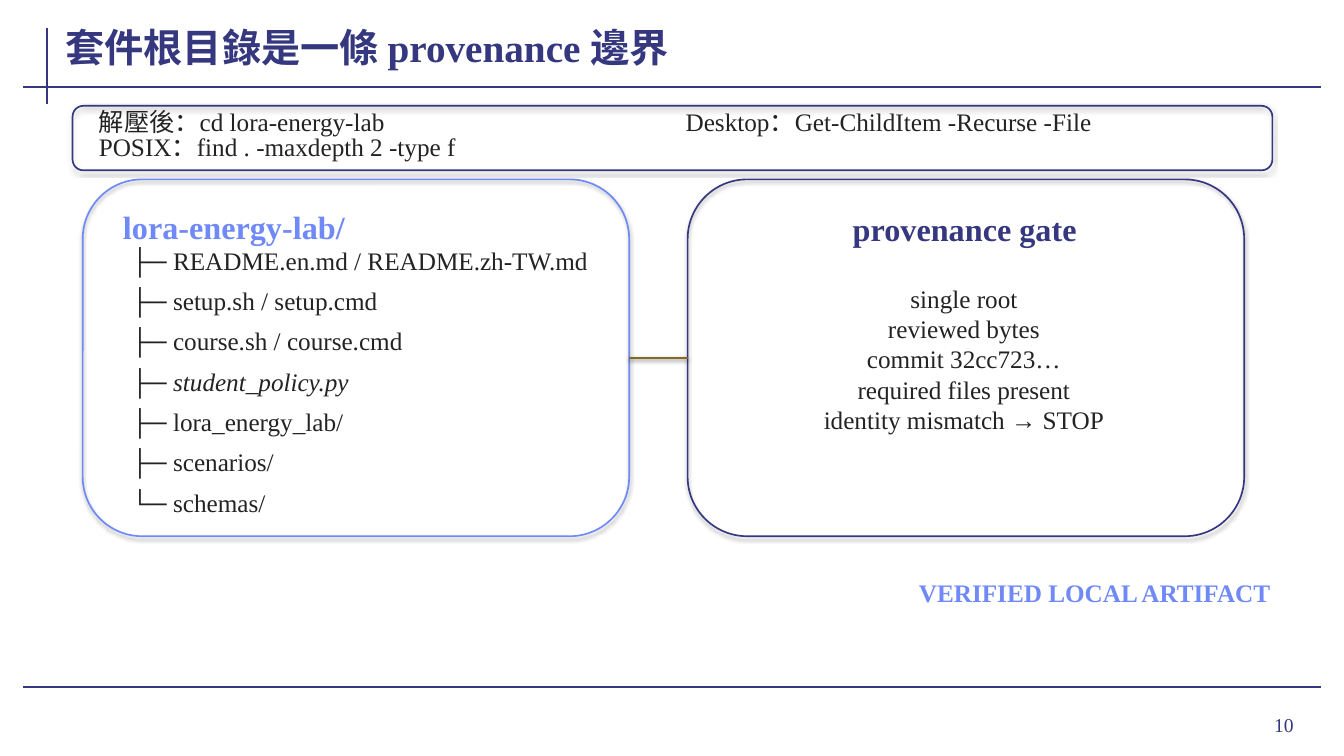
from lxml import etree
from pptx import Presentation, util as u
from pptx.dml.color import RGBColor
from pptx.enum import shapes, text
from pptx.oxml.ns import qn

deck = Presentation()
cell = u.Inches(0.1)
deck.slide_width, deck.slide_height = u.Inches(13.33), u.Inches(7.5)
page = deck.slides.add_slide(deck.slide_layouts[6])
navy, sky, ink, bronze = "35377F", "6F89F7", "232323", "846826"
left, center, right = text.PP_ALIGN.LEFT, text.PP_ALIGN.CENTER, text.PP_ALIGN.RIGHT
middle, top = text.MSO_ANCHOR.MIDDLE, text.MSO_ANCHOR.TOP


def outline(item, color, width, shade=0, distance=1.8):
    item.line.color.rgb = RGBColor.from_string(color)
    item.line.width = u.Pt(width)
    effects = etree.SubElement(item._element.spPr, qn("a:effectLst"))
    if shade:
        shadow = etree.SubElement(effects, qn("a:outerShdw"), blurRad=str(u.Pt(3.1)),
                                  dist=str(u.Pt(distance)), dir="5400000", rotWithShape="0")
        black = etree.SubElement(shadow, qn("a:srgbClr"), val="000000")
        etree.SubElement(black, qn("a:alpha"), val=str(shade * 1000))


def write(area, lines, size=18, color=ink, bold=False, align=left, anchor=middle,
          inset=(0.8, 0.6), wrap=True, italic=""):
    box = page.shapes.add_textbox(*[int(n * cell) for n in area])
    frame = box.text_frame
    frame.word_wrap, frame.vertical_anchor = wrap, anchor
    frame.margin_left = frame.margin_right = int(inset[0] * cell)
    frame.margin_top = frame.margin_bottom = int(inset[1] * cell)
    for index, line in enumerate(lines):
        para = frame.paragraphs[0] if index == 0 else frame.add_paragraph()
        para.alignment = align
        para.font.name, para.font.size, para.font.bold = "Times New Roman", u.Pt(size), bold
        para.font.color.rgb = RGBColor.from_string(color)
        para.add_run().text = line
        if italic:
            span = para.add_run()
            span.text, span.font.italic = italic, True


for x1, y1, x2, y2 in [(4.7, 2.8, 4.7, 10.3), (2.3, 8.6, 131, 8.6), (2.3, 68.2, 131, 68.2)]:
    rule = page.shapes.add_connector(shapes.MSO_CONNECTOR.STRAIGHT,
                                     *[int(n * cell) for n in (x1, y1, x2, y2)])
    outline(rule, navy, 1.5)

write((119.6, 69.3, 9.7, 5.2), ["10"], 14, navy, align=right, inset=(1, 0.5))
write((6.2, 1.5, 124.9, 6.2), ["套件根目錄是一條 provenance 邊界"], 28, navy, True, inset=(0.3, 0.1))

panels = []
for area, color in [((7.2, 10.5, 119, 6.4), navy), ((8.2, 17.8, 54.2, 35.4), sky),
                    ((68.2, 17.8, 55.2, 35.4), navy)]:
    panel = page.shapes.add_shape(shapes.MSO_SHAPE.ROUNDED_RECTANGLE,
                                  *[int(n * cell) for n in area])
    panel.fill.background()
    outline(panel, color, 1.2, 35)
    panels.append(panel)
commands, tree, gate = panels

for column, row, command in [(9, 10.8, "解壓後：cd lora-energy-lab"),
                             (9, 13.3, "POSIX：find . -maxdepth 2 -type f"),
                             (67.2, 10.8, "Desktop：Get-ChildItem -Recurse -File")]:
    write((column, row, 55.8, 2.5), [command], wrap=False)

write((11.4, 20, 48, 4.4), ["lora-energy-lab/"], 23, sky, True, anchor=top)
entries = [("├─ README.en.md / README.zh-TW.md", ""), ("├─ setup.sh / setup.cmd", ""),
           ("├─ course.sh / course.cmd", ""), ("├─ ", "student_policy.py"),
           ("├─ lora_energy_lab/", ""), ("├─ scenarios/", ""), ("└─ schemas/", "")]
for index, (entry, italic) in enumerate(entries):
    write((12.8, 24.2 + 4 * index, 46.2, 3.2), [entry], inset=(0.2, 0), italic=italic)

write((71, 20.4, 49.4, 4.6), ["provenance gate"], 23, navy, True, center)
write((73.2, 27.4, 44.8, 16.4),
      ["single root", "reviewed bytes", "commit 32cc723…", "required files present",
       "identity mismatch → STOP"], align=center)

link = page.shapes.add_connector(shapes.MSO_CONNECTOR.STRAIGHT, 0, 0, 0, 0)
link.begin_connect(tree, 3)
link.end_connect(gate, 1)
outline(link, bronze, 1.8, 38, 1.6)

write((80, 57.2, 46.2, 3.2), ["VERIFIED LOCAL ARTIFACT"], 18, sky, True, right, inset=(0.2, 0))

deck.save("out.pptx")
